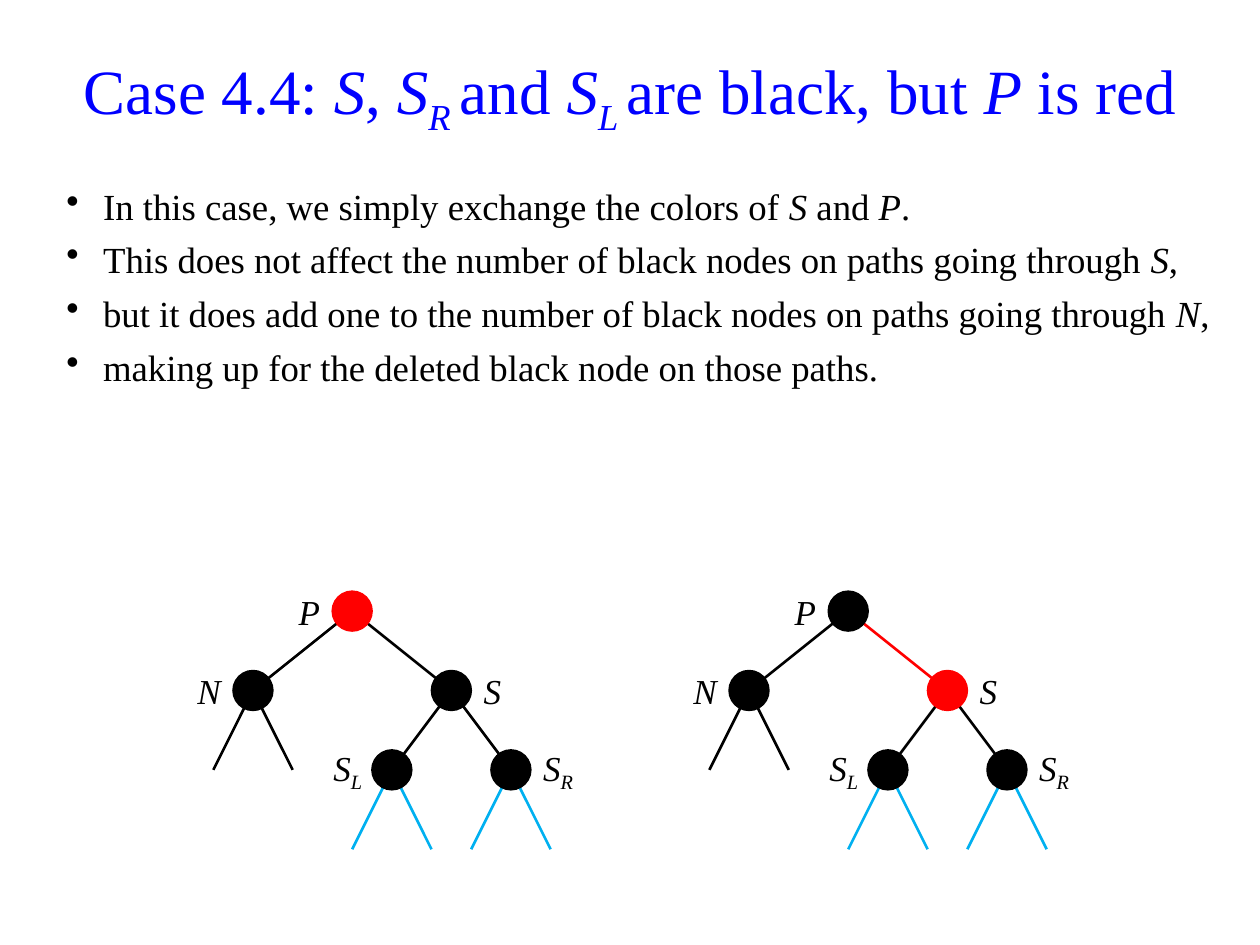
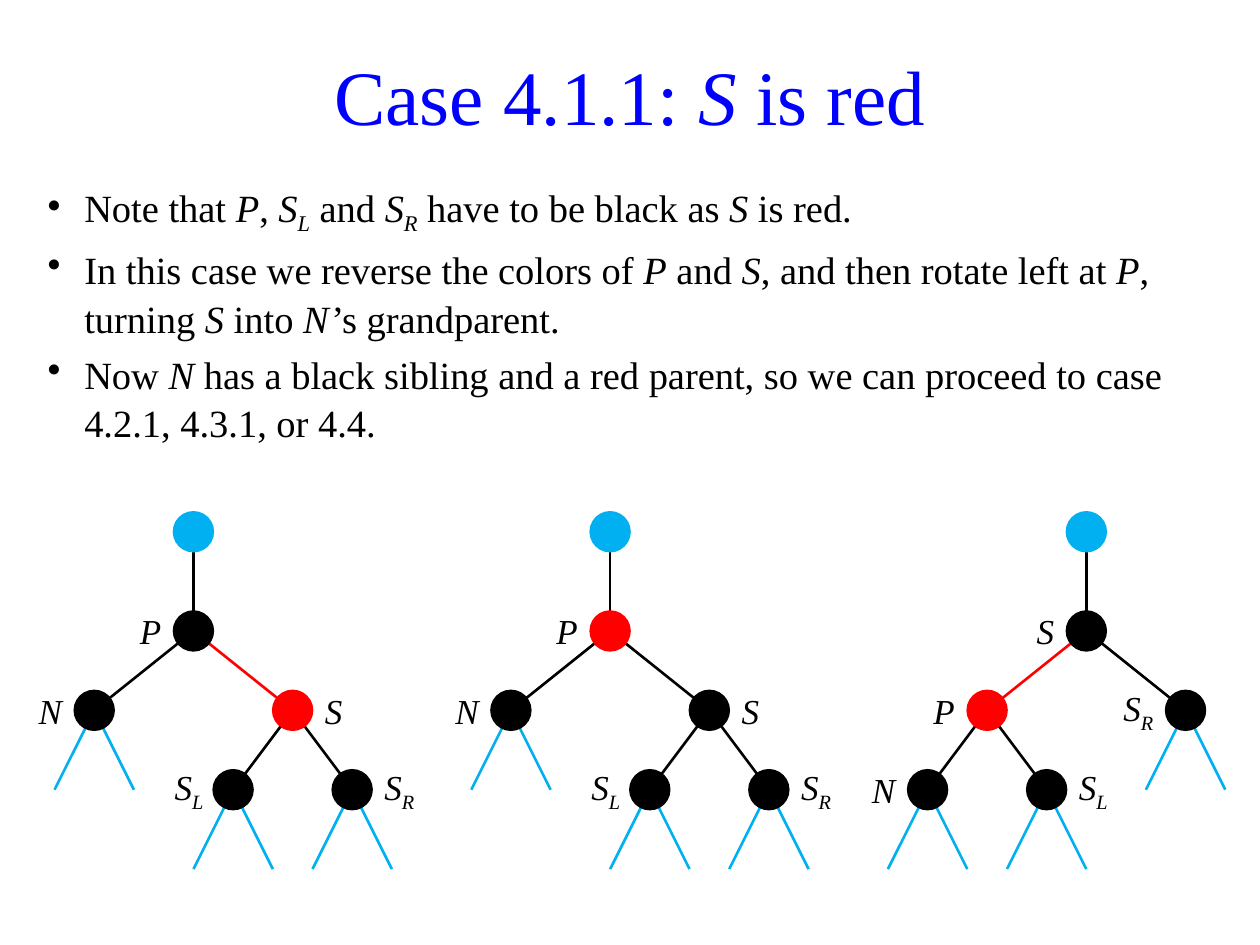
import pptx
import pptx.dml.color
import pptx.enum.shapes
import pptx.enum.text
import pptx.util
from lxml import etree
from pptx.oxml.ns import qn

Cm = pptx.util.Cm
Pt = pptx.util.Pt
RGB = pptx.dml.color.RGBColor
ALIGN = pptx.enum.text.PP_ALIGN
MIDDLE = pptx.enum.text.MSO_ANCHOR.MIDDLE

BLACK = RGB(0x00, 0x00, 0x00)
RED = RGB(0xFF, 0x00, 0x00)
BLUE = RGB(0x00, 0x00, 0xFF)
CYAN = RGB(0x00, 0xB0, 0xF0)
FONT = "Times New Roman"

# Tree measures in cm
SIZE = 0.8           # node width
DROP = 1.6           # height of a level
SPREAD = (2, 1.2)    # half the gap between siblings, by level
LEG = 0.8            # half the gap between the open legs
STEM = 2             # from the root up to its parent
TAG = 1.2            # label width


def add_runs(para, text):
    """Write text in which *X* is italic and *X_Y* has Y as a subscript."""
    parts = text.split("*")
    for i, part in enumerate(parts):
        slant = i % 2 == 1
        for j, piece in enumerate(part.split("_")):
            if not piece:
                continue
            run = para.add_run()
            run.text = piece
            if slant:
                run.font.italic = True
            if j:
                run._r.get_or_add_rPr().set("baseline", "-25000")
            # Keep a slanted letter clear of the apostrophe after it
            if slant and parts[i + 1].startswith("’"):
                run._r.get_or_add_rPr().set("spc", "150")


def set_font(para, size, color):
    para.font.name = FONT
    para.font.size = Pt(size)
    para.font.color.rgb = color


def add_box(slide, left, top, width, height):
    box = slide.shapes.add_textbox(Cm(left), Cm(top), Cm(width), Cm(height))
    box.text_frame.word_wrap = True
    return box.text_frame


def add_title(slide, text, size):
    frame = add_box(slide, 1.09, 0.71, 23.22, 2.39)
    frame.vertical_anchor = MIDDLE
    para = frame.paragraphs[0]
    para.alignment = ALIGN.CENTER
    add_runs(para, text)
    set_font(para, size, BLUE)


def add_list(slide, box, size, lines):
    frame = add_box(slide, *box)
    for i, line in enumerate(lines):
        para = frame.add_paragraph() if i else frame.paragraphs[0]
        para.line_spacing = 1.05
        if i:
            para.space_before = Pt(size * 0.2)
        props = para._p.get_or_add_pPr()
        props.set("marL", str(Cm(0.74)))
        props.set("indent", str(-Cm(0.74)))
        etree.SubElement(props, qn("a:buChar")).set("char", "•")
        add_runs(para, line)
        set_font(para, size, BLACK)


def add_line(slide, start, end, color):
    kind = pptx.enum.shapes.MSO_CONNECTOR.STRAIGHT
    line = slide.shapes.add_connector(kind, *[Cm(v) for v in (*start, *end)])
    line.line.color.rgb = color
    line.line.width = Pt(1.5)
    etree.SubElement(line._element.spPr, qn("a:effectLst"))


def add_dot(slide, x, y, color):
    kind = pptx.enum.shapes.MSO_SHAPE.OVAL
    dot = slide.shapes.add_shape(kind, Cm(x - SIZE / 2), Cm(y - SIZE / 2),
                                 Cm(SIZE), Cm(SIZE))
    dot.shadow.inherit = False
    dot.fill.solid()
    dot.fill.fore_color.rgb = color
    dot.line.color.rgb = color
    dot.line.width = Pt(1)


def add_tag(slide, x, y, text, side):
    left = x + SIZE / 2 if side == "right" else x - SIZE / 2 - TAG
    frame = add_box(slide, left, y - DROP / 2, TAG, DROP)
    frame.vertical_anchor = MIDDLE
    if text == "S_L":
        frame.margin_right = Cm(0.2)
    para = frame.paragraphs[0]
    para.alignment = ALIGN.LEFT if side == "right" else ALIGN.RIGHT
    add_runs(para, f"*{text}*")
    set_font(para, 20, BLACK)


def node(name, side, color=BLACK, kids=(), legs=CYAN):
    return {"name": name, "side": side, "color": color,
            "kids": kids, "legs": legs}


def add_tree(slide, x, y, top, level=0):
    """Draw the node top at x, y and all that hangs below it."""
    if top["kids"]:
        for sign, kid in zip((-1, 1), top["kids"]):
            end = (x + sign * SPREAD[level], y + DROP)
            # An edge down to a red node is red, unless its parent is red
            add_line(slide, (x, y), end, kid["color"])
            add_tree(slide, *end, kid, level + 1)
    else:
        for sign in (-1, 1):
            add_line(slide, (x, y), (x + sign * LEG, y + DROP), top["legs"])
    add_dot(slide, x, y, top["color"])
    add_tag(slide, x, y, top["name"], top["side"])


def add_stem(slide, x, y):
    """Draw the parent above a root at x, y."""
    add_line(slide, (x, y - STEM), (x, y - SIZE / 2), BLACK)
    add_dot(slide, x, y - STEM, CYAN)


def start_tree(p_color, s_color, legs):
    """The tree before rotation: P over N and S, S over its two children."""
    pair = (node("S_L", "left"), node("S_R", "right"))
    return node("P", "left", p_color,
                (node("N", "left", legs=legs),
                 node("S", "right", s_color, pair)))


def turned_tree():
    """The tree after rotating left at P."""
    pair = (node("N", "left"), node("S_L", "right"))
    return node("S", "left", BLACK,
                (node("P", "left", RED, pair), node("S_R", "left")))


def swap_slide(slide):
    add_title(slide, "Case 4.4: *S*, *S_R *and *S_L *are black, but *P* is red", 36)
    add_list(slide, (1.09, 3.53, 23.6, 4.39), 21, [
        "In this case, we simply exchange the colors of *S* and *P*.",
        "This does not affect the number of black nodes on paths going through *S*,",
        "but it does add one to the number of black nodes on paths going through *N*,",
        "making up for the deleted black node on those paths.",
    ])
    add_tree(slide, 7.1, 12.32, start_tree(RED, BLACK, BLACK))
    add_tree(slide, 17.1, 12.32, start_tree(BLACK, RED, BLACK))


def turn_slide(slide):
    add_title(slide, "Case 4.1.1: *S* is red", 44)
    add_list(slide, (0.71, 3.53, 24, 5.21), 22, [
        "Note that *P*, *S_L* and *S_R* have to be black as *S* is red.",
        "In this case we reverse the colors of *P* and *S*, and then rotate left "
        "at *P*, turning *S* into *N*’s grandparent.",
        "Now *N* has a black sibling and a red parent, so we can proceed to case "
        "4.2.1, 4.3.1, or 4.4.",
    ])
    trees = ((3.9, start_tree(BLACK, RED, CYAN)),
             (12.3, start_tree(RED, BLACK, CYAN)),
             (21.9, turned_tree()))
    for x, tree in trees:
        add_stem(slide, x, 12.72)
        add_tree(slide, x, 12.72, tree)


def main():
    deck = pptx.Presentation()
    deck.slide_width = Cm(25.4)
    deck.slide_height = Cm(19.05)
    for build in (swap_slide, turn_slide):
        build(deck.slides.add_slide(deck.slide_layouts[6]))
    deck.save("out.pptx")


if __name__ == "__main__":
    main()
